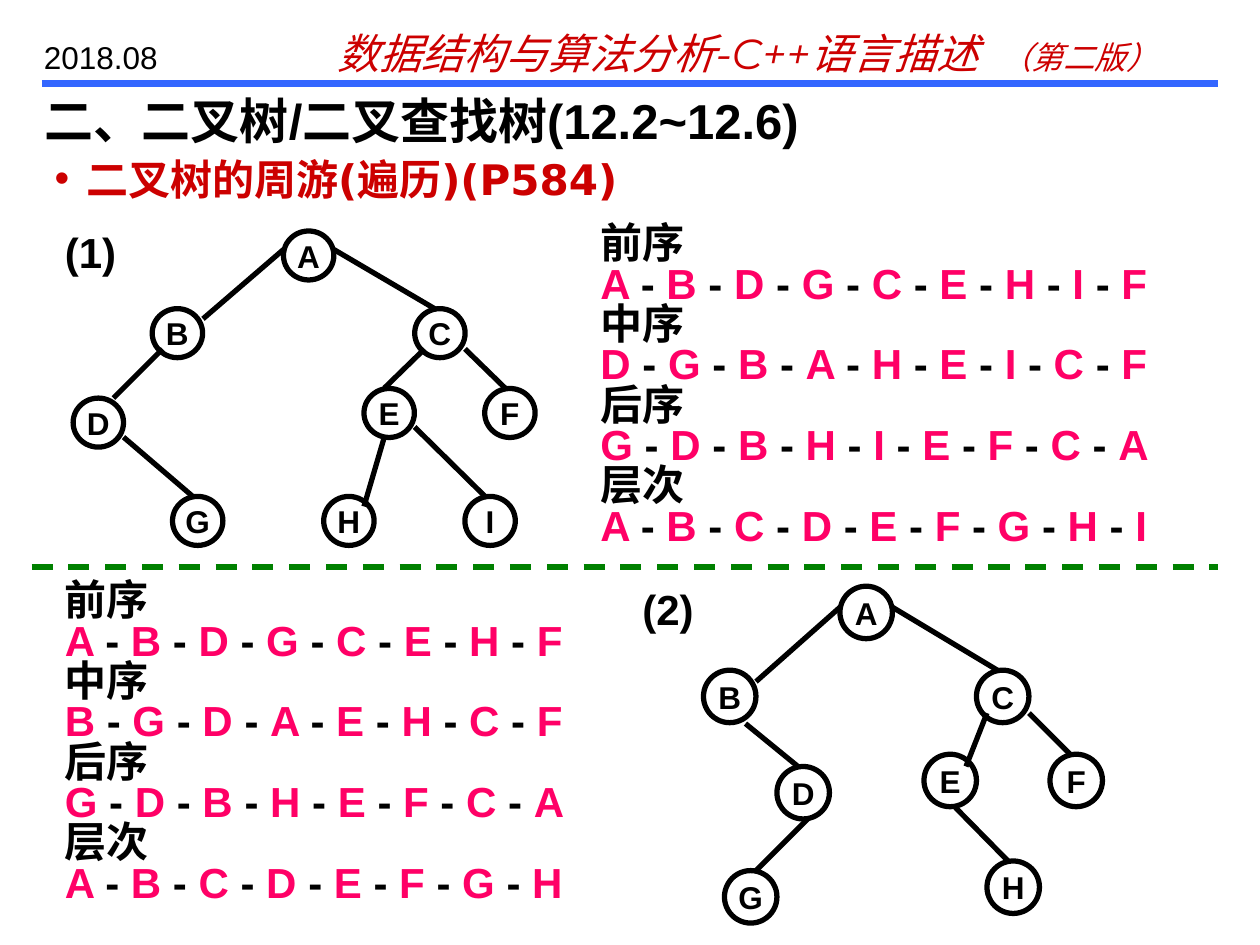
from pptx import Presentation
from pptx.dml.color import RGBColor
from pptx.enum.dml import MSO_LINE_DASH_STYLE as Dash
from pptx.enum.shapes import MSO_CONNECTOR as Conn, MSO_SHAPE as Kind
from pptx.enum.text import MSO_ANCHOR as Anchor, MSO_AUTO_SIZE as Fit, PP_ALIGN as Align
from pptx.oxml.ns import qn
from pptx.util import Pt
from lxml.etree import SubElement

BLACK, RED, PINK = "000000", "CC0000", "FF0066"

TREE1 = {
    "label": ("(1)", 30, 126),
    "size": (28.8, 28),
    "nodes": {"A": (162, 132), "B": (87, 176.4), "C": (237, 176.4),
              "D": (41.8, 227.5), "E": (208, 222), "F": (277, 222),
              "G": (98.6, 283.7), "H": (185, 283.7), "I": (265.7, 283.7)},
    "edges": [(162, 142.6, 116, 182.2), (190.8, 142.6, 248.4, 176.4),
              (92.9, 199.4, 64.8, 227.5), (70.6, 249.8, 110.2, 283.7),
              (242.6, 199.4, 219.6, 221.8), (265.7, 199.4, 288.7, 221.8),
              (219.6, 249.8, 208, 289.4), (236.9, 244, 277.2, 283.7)],
}
TREE2 = {
    "label": ("(2)", 360, 330),
    "size": (30, 30),
    "nodes": {"A": (480, 335), "B": (402, 383), "C": (558, 383),
              "D": (444, 438), "E": (528, 431), "F": (600, 431),
              "G": (414, 497.5), "H": (564, 492)},
    "edges": [(480, 347, 432, 389.5), (510, 347, 570, 383),
              (426, 413.5, 456, 438), (462, 467.5, 432, 497.5),
              (564, 407.5, 552, 438), (588, 407.5, 612, 431.5),
              (546, 461.5, 576, 492)],
}
ORDERS1 = {"前序": "ABDGCEHIF", "中序": "DGBAHEICF",
           "后序": "GDBHIEFCA", "层次": "ABCDEFGHI"}
ORDERS2 = {"前序": "ABDGCEHF", "中序": "BGDAEHCF",
           "后序": "GDBHEFCA", "层次": "ABCDEFGH"}


def paint(item, color):
    """Give a font or fill a solid hex colour."""
    fill = item.fill if hasattr(item, "fill") else item
    fill.solid()
    fill.fore_color.rgb = RGBColor.from_string(color)


def style(para, size, color=BLACK, name="Arial", bold=True):
    """Format a whole paragraph."""
    font = para.font
    font.size, font.name, font.bold = Pt(size), name, bold
    paint(font, color)


def add_run(para, text, color=None):
    """Append a run of text."""
    run = para.add_run()
    run.text = text
    if color:
        paint(run.font, color)
    return run


def add_box(shapes, x, y, w, h):
    """Add a wrapping text box and return its frame."""
    frame = shapes.add_textbox(Pt(x), Pt(y), Pt(w), Pt(h)).text_frame
    frame.word_wrap = True
    return frame


def add_label(shapes, text, x, y, w, h, size, bold=True):
    """Add a one-line text box."""
    para = add_box(shapes, x, y, w, h).paragraphs[0]
    add_run(para, text)
    style(para, size, bold=bold)


def add_line(shapes, ends, color=BLACK, width=3, dash=None):
    """Add a straight line without a shadow."""
    line = shapes.add_connector(Conn.STRAIGHT, *map(Pt, ends))
    paint(line.line, color)
    line.line.width = Pt(width)
    if dash:
        line.line.dash_style = dash
    SubElement(line._element.spPr, qn("a:effectLst"))


def add_node(shapes, text, x, y, w, h):
    """Add a lettered circle."""
    node = shapes.add_shape(Kind.OVAL, Pt(x), Pt(y), Pt(w), Pt(h))
    node.shadow.inherit = False
    node.fill.background()
    paint(node.line, BLACK)
    node.line.width = Pt(3)
    frame = node.text_frame
    frame.word_wrap = False
    frame.vertical_anchor = Anchor.MIDDLE
    para = frame.paragraphs[0]
    para.alignment = Align.CENTER
    add_run(para, text, BLACK)
    style(para, 18)


def add_tree(slide, tree):
    """Add a labelled binary tree as one group."""
    shapes = slide.shapes.add_group_shape().shapes
    text, x, y = tree["label"]
    add_label(shapes, text, x, y, 48, 36, 24)
    for name, spot in tree["nodes"].items():
        add_node(shapes, name, *spot, *tree["size"])
    for ends in tree["edges"]:
        add_line(shapes, ends)


def add_orders(slide, orders, x, y, w, h):
    """List each traversal name above its node sequence."""
    frame = add_box(slide.shapes, x, y, w, h)
    paras = [frame.paragraphs[0]]
    paras += [frame.add_paragraph() for _ in range(2 * len(orders) - 1)]
    for para in paras:
        para.line_spacing = 0.8
        style(para, 24)
    for (name, seq), head, row in zip(orders.items(), paras[::2], paras[1::2]):
        add_run(head, name)
        for node in seq[:-1]:
            add_run(row, node + " ", PINK)
            add_run(row, "- ", BLACK)
        add_run(row, seq[-1], PINK)


def fill_holder(holder, text, x, y, w, h, *look):
    """Move a placeholder and set its single paragraph."""
    holder.left, holder.top, holder.width, holder.height = map(Pt, (x, y, w, h))
    frame = holder.text_frame
    frame.auto_size = Fit.NONE
    frame.vertical_anchor = Anchor.TOP
    para = frame.paragraphs[0]
    para.alignment = Align.LEFT
    para.space_before = Pt(0)
    add_run(para, text)
    style(para, *look)
    return para


def add_header(slide):
    """Add the course name, date and rule at the top."""
    para = add_box(slide.shapes, 186, 12, 504, 36).paragraphs[0]
    style(para, 24, RED, "Montserrat", False)
    para.font.italic = True
    add_run(para, "数据结构与算法分析-C++语言描述")
    gap = add_run(para, " ")
    gap.font._element.set("spc", "700")
    add_run(para, "（第二版）").font.size = Pt(18)
    add_label(slide.shapes, "2018.08", 18, 18, 102, 29, 18, False)
    add_line(slide.shapes, (24, 48, 696, 48), "3366FF", 4)


def main():
    """Build the slide and save it."""
    deck = Presentation()
    deck.slide_width, deck.slide_height = Pt(720), Pt(540)
    slide = deck.slides.add_slide(deck.slide_layouts[1])
    title, body = slide.placeholders
    add_header(slide)
    fill_holder(title, "二、二叉树/二叉查找树(12.2~12.6)", 18, 48, 702, 36, 28)
    item = fill_holder(body, "二叉树的周游(遍历)(P584)", 24, 84, 696, 36,
                       24, RED, "DejaVu Sans")
    props = item._p.get_or_add_pPr()
    props.set("marL", str(Pt(18)))
    props.set("indent", str(Pt(-18)))
    add_orders(slide, ORDERS1, 336, 126, 348, 174)
    add_orders(slide, ORDERS2, 30, 330, 330, 192)
    add_tree(slide, TREE1)
    add_tree(slide, TREE2)
    add_line(slide.shapes, (18, 324, 696, 324), "008000", 3, Dash.DASH)
    deck.save("out.pptx")


if __name__ == "__main__":
    main()
